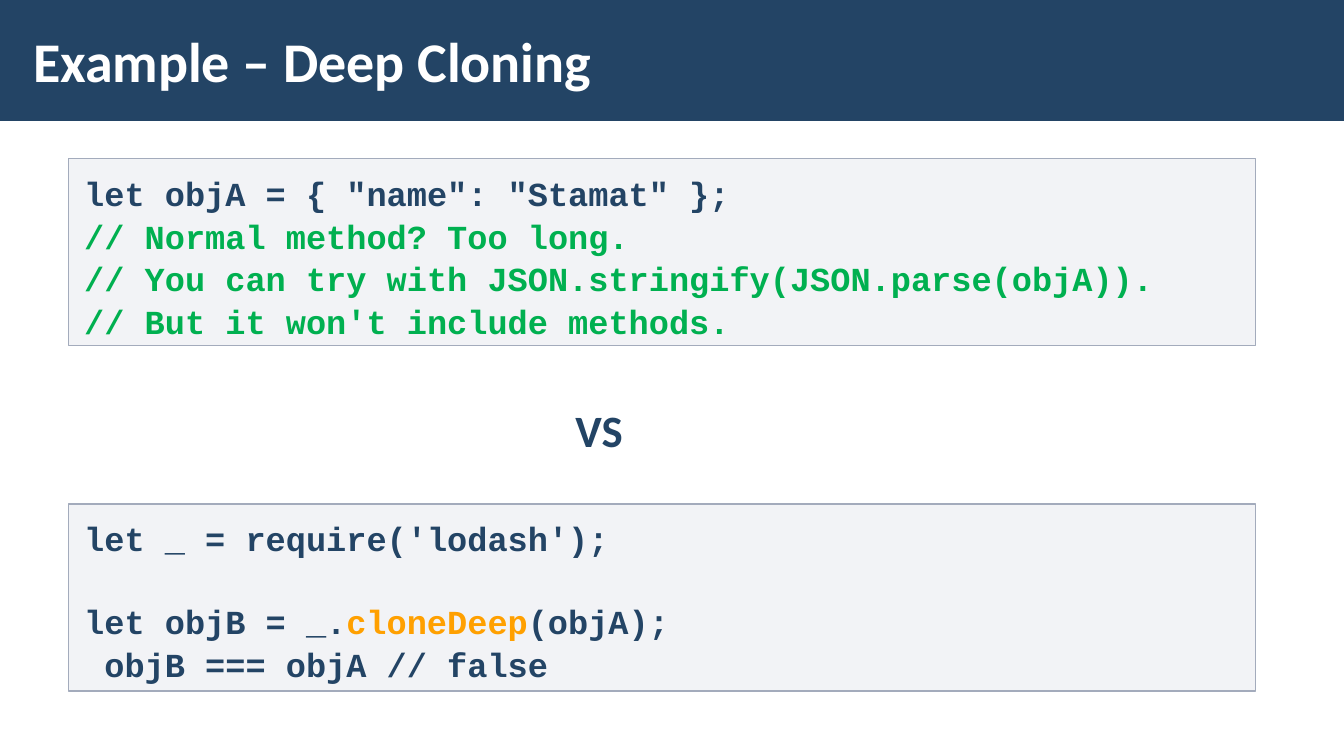
from lxml.etree import SubElement
from pptx import Presentation
from pptx.dml.color import RGBColor
from pptx.enum.shapes import MSO_SHAPE as Preset
from pptx.enum.text import MSO_ANCHOR as Anchor, PP_ALIGN as Align
from pptx.oxml.ns import qn
from pptx.util import Pt

NAVY = RGBColor(0x23, 0x44, 0x65)
WHITE = RGBColor(0xFF, 0xFF, 0xFF)
GREEN = RGBColor(0x00, 0xB0, 0x50)
ORANGE = RGBColor(0xFF, 0xA0, 0x00)
PANEL = RGBColor(0xC2, 0xC7, 0xD2)
BORDER = RGBColor(0xA3, 0xAB, 0xBC)

HEADING = {"name": "Calibri", "size": Pt(40), "bold": True}
VERSUS = {"name": "Calibri", "size": Pt(32), "bold": True}
CODE = {"name": "Courier New", "size": Pt(24), "bold": True}
LABEL_FRAME = {
    "word_wrap": True, "vertical_anchor": Anchor.MIDDLE,
    "margin_left": Pt(8.5), "margin_right": Pt(8.5),
    "margin_top": Pt(2.83), "margin_bottom": Pt(2.83),
}
CODE_FRAME = {
    "word_wrap": True, "vertical_anchor": Anchor.TOP,
    "margin_left": Pt(11.34), "margin_right": Pt(11.34),
    "margin_top": Pt(8.5), "margin_bottom": Pt(8.5),
}
CODE_LEADING = 1.06
CODE_LINE = Pt(28.8)

CLONE_BY_HAND = [
    [('let objA = { "name": "Stamat" };', NAVY)],
    [("// Normal method? Too long.", GREEN)],
    [("// You can try with JSON.stringify(JSON.parse(objA)).", GREEN)],
    [("// But it won't include methods.", GREEN)],
]
CLONE_WITH_LODASH = [
    [("let _ = require('lodash');", NAVY)],
    [("let objB = _.", NAVY), ("cloneDeep", ORANGE), ("(objA);", NAVY)],
    [(" objB === objA // false", NAVY)],
]


def apply(target, settings):
    for attribute, value in settings.items():
        setattr(target, attribute, value)


def add_run(paragraph, wording, color, font):
    run = paragraph.add_run()
    run.text = wording
    apply(run.font, font)
    run.font.color.rgb = color


def add_rectangle(slide, box, color):
    rectangle = slide.shapes.add_shape(Preset.RECTANGLE, *map(Pt, box))
    rectangle.shadow.inherit = False
    rectangle.fill.solid()
    rectangle.fill.fore_color.rgb = color
    return rectangle


def add_label(slide, box, wording, color, font, **layout):
    frame = slide.shapes.add_textbox(*map(Pt, box)).text_frame
    apply(frame, LABEL_FRAME)
    paragraph = frame.paragraphs[0]
    apply(paragraph, layout)
    add_run(paragraph, wording, color, font)


def add_header(slide, box, wording):
    left, top, width, height = box
    add_rectangle(slide, box, NAVY).line.fill.background()
    title = (left + 15.1, top + 8, width - 211, height - 16.6)
    add_label(slide, title, wording, WHITE, HEADING, alignment=Align.LEFT)


def add_code_panel(slide, box, code, gap_before=None):
    panel = add_rectangle(slide, box, PANEL)
    tint = panel.fill._xPr.find(qn("a:solidFill"))[0]
    SubElement(tint, qn("a:alpha"), val="20000")
    panel.line.color.rgb = BORDER
    panel.line.width = Pt(1)
    frame = panel.text_frame
    apply(frame, CODE_FRAME)
    for number, pieces in enumerate(code):
        line = frame.add_paragraph() if number else frame.paragraphs[0]
        apply(line, {"alignment": Align.LEFT, "line_spacing": CODE_LEADING})
        if number == gap_before:
            line.space_before = CODE_LINE
        for wording, color in pieces:
            add_run(line, wording, color, CODE)


def main():
    deck = Presentation()
    deck.slide_width, deck.slide_height = Pt(960), Pt(540)
    slide = deck.slides.add_slide(deck.slide_layouts[6])
    add_header(slide, (0, 0, 960, 86.4), "Example – Deep Cloning")
    add_code_panel(slide, (48.8, 113.2, 848.2, 133.5), CLONE_BY_HAND)
    add_code_panel(slide, (48.8, 360, 848.2, 133.5), CLONE_WITH_LODASH, gap_before=1)
    add_label(slide, (51.1, 265.7, 753.8, 87.1), "VS", NAVY, VERSUS,
              alignment=Align.CENTER, line_spacing=0.9)
    deck.save("out.pptx")


if __name__ == "__main__":
    main()
